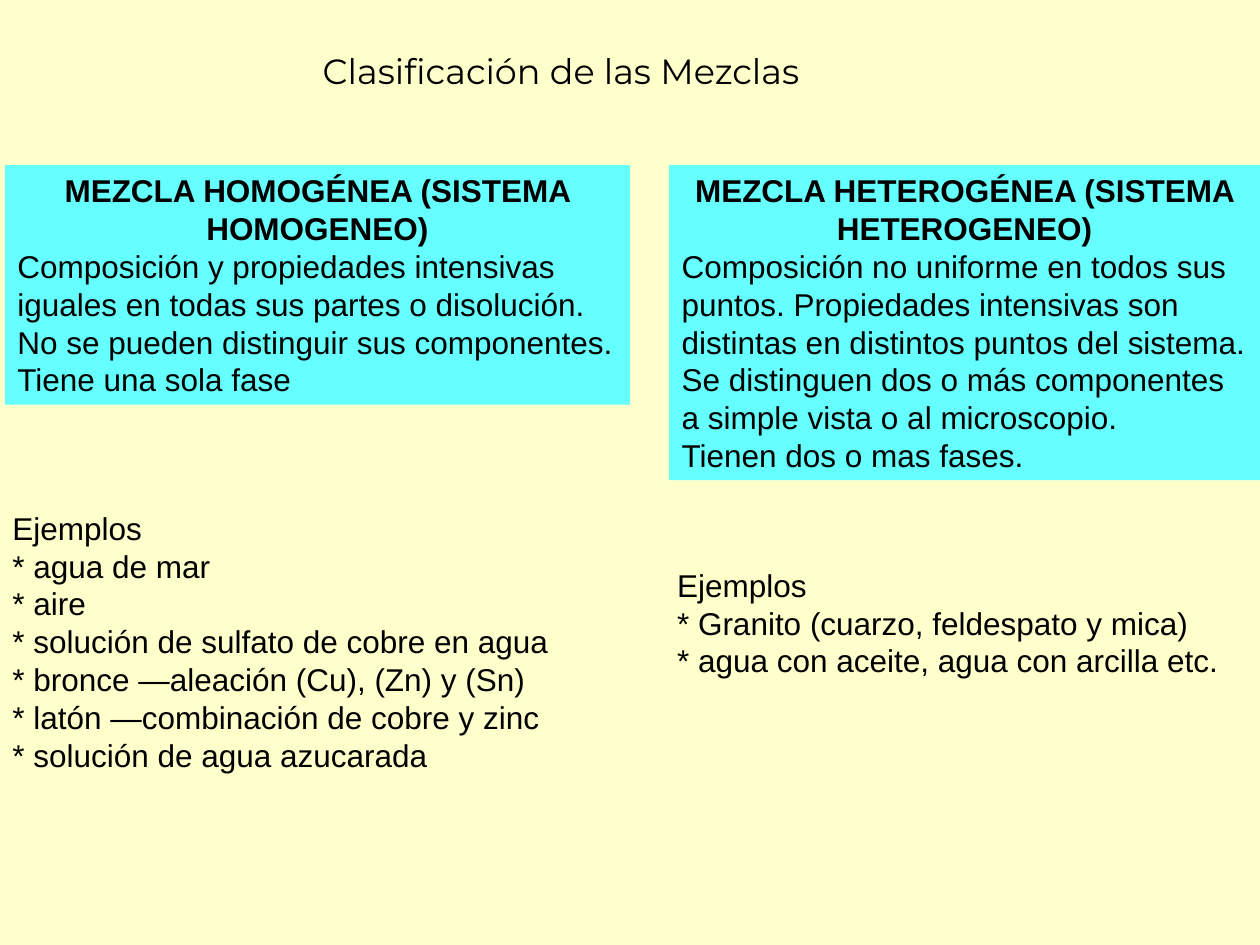
from pptx import Presentation
from pptx.dml.color import RGBColor
from pptx.enum.shapes import MSO_SHAPE
from pptx.enum.text import MSO_ANCHOR, MSO_AUTO_SIZE, PP_ALIGN
from pptx.util import Cm, Pt

TITLE = "Clasificación de las Mezclas"
BACKGROUND, PANEL, INK = "FFFFCC", "66FFFF", "000000"

# Places are left, top, width, height in centimetres
MIXTURES = [
    {
        "heading": "MEZCLA HOMOGÉNEA (SISTEMA HOMOGENEO)",
        "traits": [
            "Composición y propiedades intensivas iguales en todas sus partes o disolución.",
            "No se pueden distinguir sus componentes.",
            "Tiene una sola fase",
        ],
        "panel_place": (0.1, 3.33, 12.6, 4.83),
        "examples": [
            "agua de mar",
            "aire",
            "solución de sulfato de cobre en agua",
            "bronce —aleación (Cu), (Zn) y (Sn)",
            "latón —combinación de cobre y zinc",
            "solución de agua azucarada",
        ],
        "examples_place": (0, 10.13, 12, 5.59),
    },
    {
        "heading": "MEZCLA HETEROGÉNEA (SISTEMA HETEROGENEO)",
        "traits": [
            "Composición no uniforme en todos sus puntos. Propiedades intensivas son "
            "distintas en distintos puntos del sistema.",
            "Se distinguen dos o más componentes a simple vista o al microscopio.",
            "Tienen dos o mas fases.",
        ],
        "panel_place": (13.49, 3.33, 11.91, 6.35),
        "examples": [
            "Granito (cuarzo, feldespato y mica)",
            "agua con aceite, agua con arcilla etc.",
        ],
        "examples_place": (13.4, 11.28, 12, 2.54),
    },
]


def paint(fill, color):
    fill.solid()
    fill.fore_color.rgb = RGBColor.from_string(color)


def style(paragraph, font_name, size, bold=False, align=PP_ALIGN.LEFT):
    paragraph.alignment = align
    for run in paragraph.runs:
        run.font.name = font_name
        run.font.size = Pt(size)
        run.font.bold = bold
        run.font.color.rgb = RGBColor.from_string(INK)


def write(shape, lines, anchor):
    frame = shape.text_frame
    frame.text = "\n".join(lines)
    frame.word_wrap = True
    frame.auto_size = MSO_AUTO_SIZE.SHAPE_TO_FIT_TEXT
    frame.vertical_anchor = anchor
    for paragraph in frame.paragraphs:
        style(paragraph, "Arial", 18)
        paragraph.line_spacing = Pt(21.6)


def add_panel(slide, mixture):
    place = map(Cm, mixture["panel_place"])
    panel = slide.shapes.add_shape(MSO_SHAPE.RECTANGLE, *place)
    panel.shadow.inherit = False
    paint(panel.fill, PANEL)
    panel.line.fill.background()
    write(panel, [mixture["heading"], *mixture["traits"]], MSO_ANCHOR.TOP)
    style(panel.text_frame.paragraphs[0], "Arial", 18, True, PP_ALIGN.CENTER)


def add_examples(slide, mixture):
    box = slide.shapes.add_textbox(*map(Cm, mixture["examples_place"]))
    examples = [f"* {example}" for example in mixture["examples"]]
    write(box, ["Ejemplos", *examples], MSO_ANCHOR.MIDDLE)


def main():
    deck = Presentation()
    deck.slide_width, deck.slide_height = Cm(25.4), Cm(19.05)
    slide = deck.slides.add_slide(deck.slide_layouts[5])
    paint(slide.background.fill, BACKGROUND)

    title = slide.shapes.title
    title.left, title.top, title.width, title.height = map(Cm, (2.5, 0.33, 17.62, 2.2))
    title.text_frame.text = TITLE
    title.text_frame.vertical_anchor = MSO_ANCHOR.MIDDLE
    style(title.text_frame.paragraphs[0], "Montserrat", 20, align=PP_ALIGN.CENTER)

    for mixture in MIXTURES:
        add_panel(slide, mixture)
    for mixture in MIXTURES:
        add_examples(slide, mixture)

    deck.save("out.pptx")


if __name__ == "__main__":
    main()
